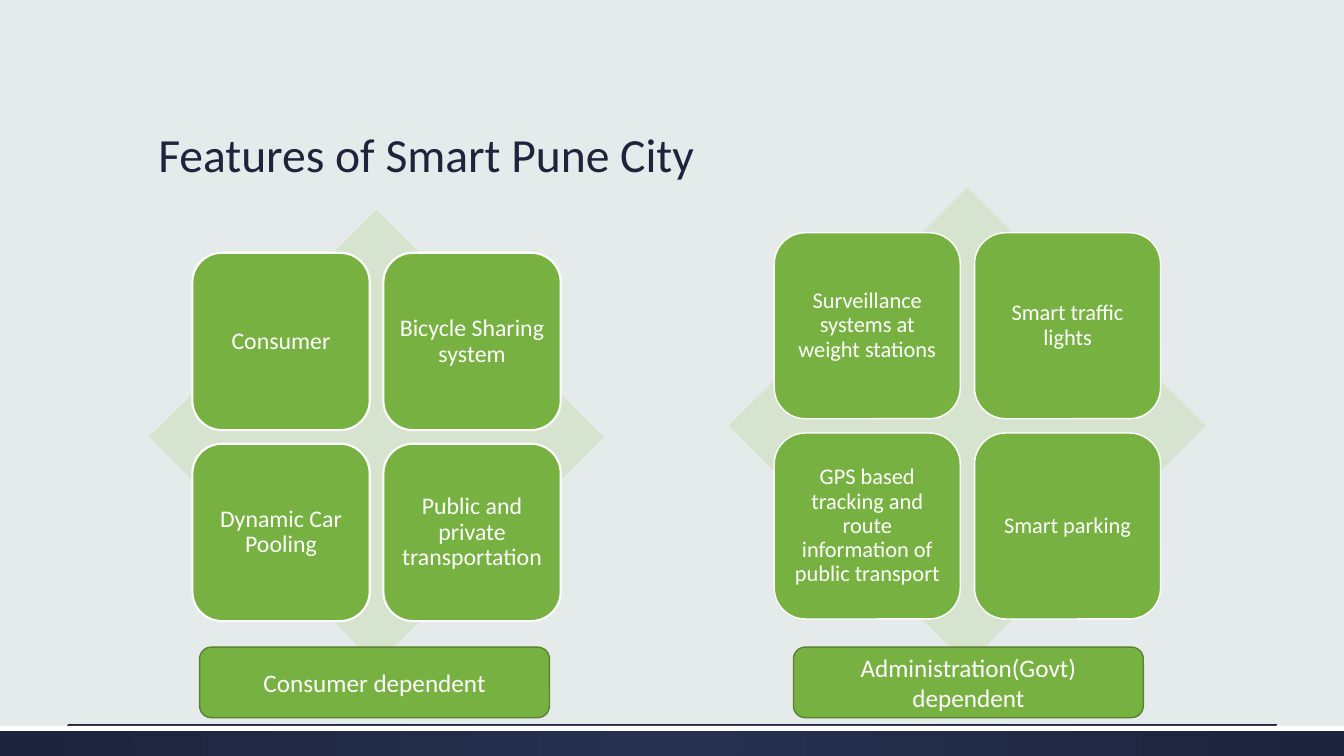
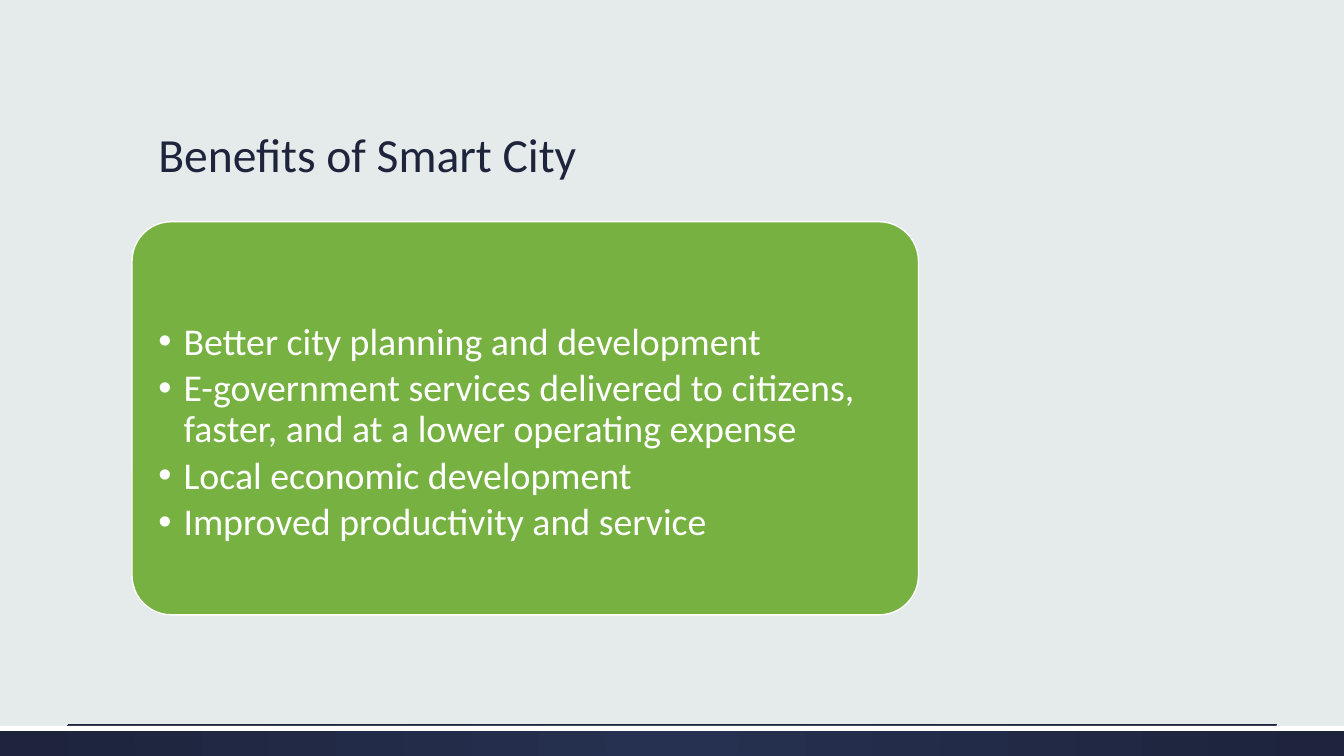
"""Build two slides on the features and benefits of a smart city."""
from lxml import etree
from pptx import Presentation
from pptx import util as u
from pptx.dml import color
from pptx.enum import shapes, text
from pptx.oxml import ns

NAVY, NAVY_LIGHT, PAPER, WHITE = "1D243C", "263050", "E5EAEA", "FFFFFF"
GREEN, GREEN_DARK, GREEN_PALE = "77B142", "588331", "D6E4CF"
FONT = "Calibri"
WIDTH, HEIGHT = 13.33, 7.5
KIND = shapes.MSO_SHAPE


def rgb(value):
    """Return the colour of a hex string."""
    return color.RGBColor.from_string(value)


def sub(parent, tag, **attrs):
    """Append a DrawingML element to a parent."""
    return etree.SubElement(parent, ns.qn(tag), attrs)


class Deck:
    """Hold the shared style and the current slide."""

    def __init__(self):
        """Set the slide size and the background."""
        self.prs = Presentation()
        self.prs.slide_width = u.Inches(WIDTH)
        self.prs.slide_height = u.Inches(HEIGHT)
        fill = self.prs.slide_master.background.fill
        fill.solid()
        fill.fore_color.rgb = rgb(PAPER)

    def slide(self, title, layout):
        """Add a slide with its footer band and title."""
        self.s = self.prs.slides.add_slide(self.prs.slide_layouts[layout])
        self.band()
        sp = self.s.shapes.title
        self.place(sp, 1.47, 0.51, 10.4, 1.35)
        self.set_text(sp, [title], 34, NAVY, align=text.PP_ALIGN.LEFT,
                      anchor=text.MSO_ANCHOR.BOTTOM)

    def band(self):
        """Draw the footer band with its white edge and thin rule."""
        sp = self.shape(KIND.RECTANGLE, 0, 7.2, WIDTH, 0.3, NAVY)
        sp.fill.gradient()
        for stop, value in zip(sp.fill.gradient_stops, (NAVY_LIGHT, NAVY)):
            stop.color.rgb = rgb(value)
        grad = sp._element.spPr.find(ns.qn("a:gradFill"))
        grad.remove(grad.find(ns.qn("a:lin")))
        centre = dict.fromkeys("ltrb", "50000")
        sub(sub(grad, "a:path", path="circle"), "a:fillToRect", **centre)
        self.shape(KIND.RECTANGLE, 0, 7.2, WIDTH, 0.05, WHITE)
        rule = self.s.shapes.add_connector(
            shapes.MSO_CONNECTOR.STRAIGHT, u.Inches(0.67), u.Inches(7.19),
            u.Inches(12.67), u.Inches(7.19))
        rule.line.color.rgb = rgb(NAVY)
        rule.line.width = u.Pt(0.75)
        sub(rule._element.spPr, "a:effectLst")

    def place(self, sp, x, y, w, h):
        """Move and size a placeholder."""
        sp.left, sp.top, sp.width, sp.height = map(u.Inches, (x, y, w, h))

    def shape(self, kind, x, y, w, h, fill, line=None, weight=1):
        """Add a filled preset shape."""
        sp = self.s.shapes.add_shape(kind, *map(u.Inches, (x, y, w, h)))
        sp.shadow.inherit = False
        sp.fill.solid()
        sp.fill.fore_color.rgb = rgb(fill)
        if line:
            sp.line.color.rgb = rgb(line)
            sp.line.width = u.Pt(weight)
        else:
            sp.line.fill.background()
        return sp

    def set_text(self, sp, lines, size, ink=WHITE, align=text.PP_ALIGN.CENTER,
                 anchor=text.MSO_ANCHOR.MIDDLE, spacing=0.9, after=0):
        """Fill a shape with formatted paragraphs."""
        tf = sp.text_frame
        tf.text = "\n".join(lines)
        tf.word_wrap = True
        tf.auto_size = text.MSO_AUTO_SIZE.NONE
        tf.vertical_anchor = anchor
        for p in tf.paragraphs:
            p.alignment = align
            p.line_spacing = spacing
            p.space_before, p.space_after = u.Pt(0), u.Pt(after)
            for r in p.runs:
                r.font.name, r.font.size = FONT, u.Pt(size)
                r.font.color.rgb = rgb(ink)
        return tf

    def matrix(self, x, y, side, labels, size, weight):
        """Draw a diamond behind a two by two grid of tiles."""
        self.shape(KIND.DIAMOND, x, y, side, side, GREEN_PALE)
        tile, pitch, margin = 0.39 * side, 0.42 * side, 0.095 * side
        for i, label in enumerate(labels):
            row, col = divmod(i, 2)
            sp = self.shape(KIND.ROUNDED_RECTANGLE, x + margin + col * pitch,
                            y + margin + row * pitch, tile, tile,
                            GREEN, WHITE, weight)
            tf = self.set_text(sp, [label], size)
            tf.margin_left = tf.margin_right = u.Inches(0.07)
            tf.margin_top = tf.margin_bottom = u.Inches(0.07)

    def caption(self, x, label):
        """Add a caption button at the foot of the slide."""
        sp = self.shape(KIND.ROUNDED_RECTANGLE, x, 6.42, 3.47, 0.7,
                        GREEN, GREEN_DARK)
        self.set_text(sp, [label], 18, spacing=1)

    def bullets(self, lines):
        """Set the body list on a rounded panel."""
        body = self.s.placeholders[1]
        panel = self.shape(KIND.ROUNDED_RECTANGLE, 1.31, 2.2, 7.8, 3.9,
                           GREEN, WHITE)
        panel.adjustments[0] = 0.1
        body._element.addprevious(panel._element)
        self.place(body, 1.42, 3.2, 7.57, 2.7)
        tf = self.set_text(body, lines, 27, align=text.PP_ALIGN.LEFT,
                           anchor=text.MSO_ANCHOR.TOP, after=4)
        tf.margin_left = tf.margin_right = u.Inches(0.15)
        tf.margin_top = tf.margin_bottom = 0
        for p in tf.paragraphs:
            props = p._p.get_or_add_pPr()
            props.set("marL", str(u.Inches(0.25)))
            props.set("indent", str(-u.Inches(0.25)))
            sub(props, "a:buChar", char="•")


def main():
    """Build and save both slides."""
    deck = Deck()
    deck.slide("Features of Smart Pune City", 5)
    deck.matrix(1.48, 2.08, 4.51, [
        "Consumer", "Bicycle Sharing system",
        "Dynamic Car Pooling", "Public and private transportation"], 17, 1.5)
    deck.matrix(7.23, 1.86, 4.73, [
        "Surveillance systems at weight stations", "Smart traffic lights",
        "GPS based tracking and route information of public transport",
        "Smart parking"], 16, 1)
    deck.caption(1.98, "Consumer dependent")
    deck.caption(7.87, "Administration(Govt) dependent")

    deck.slide("Benefits of Smart City", 1)
    deck.bullets([
        "Better city planning and development",
        "E-government services delivered to citizens, faster, "
        "and at a lower operating expense",
        "Local economic development",
        "Improved productivity and service"])
    deck.prs.save("out.pptx")


if __name__ == "__main__":
    main()
